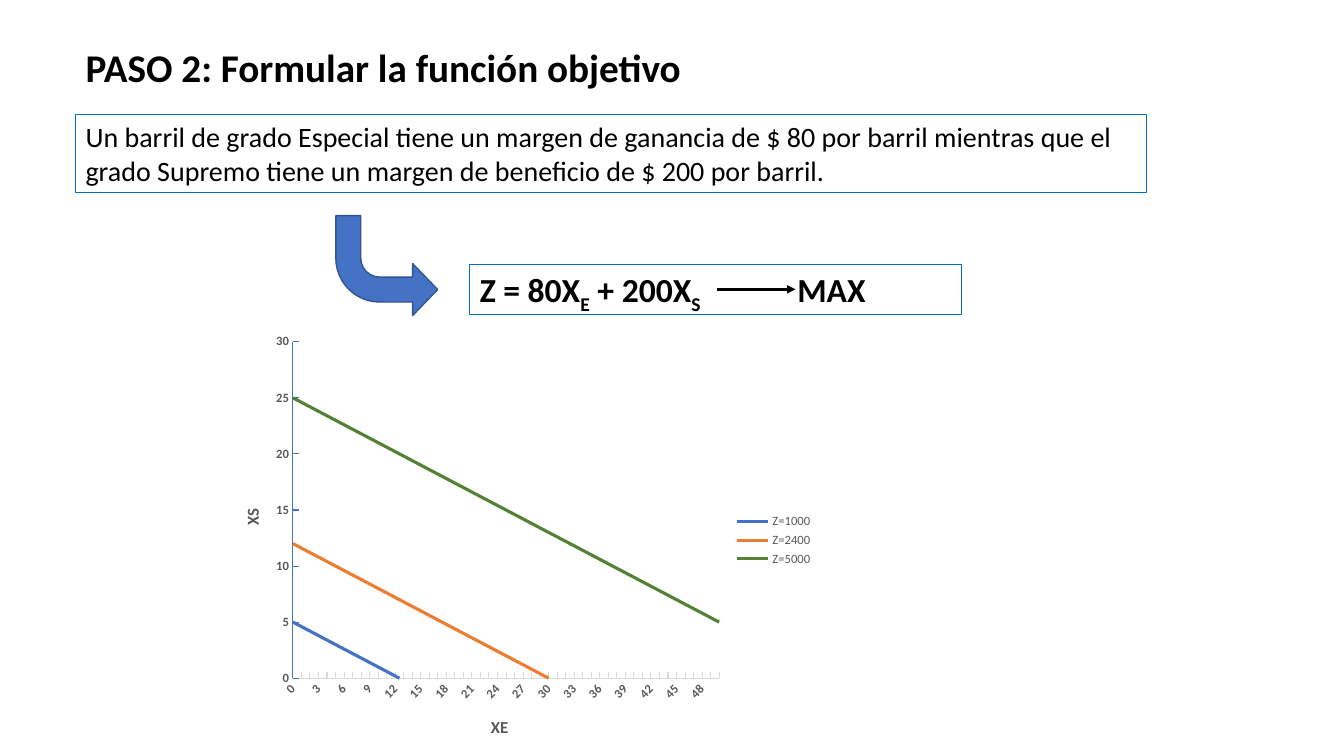
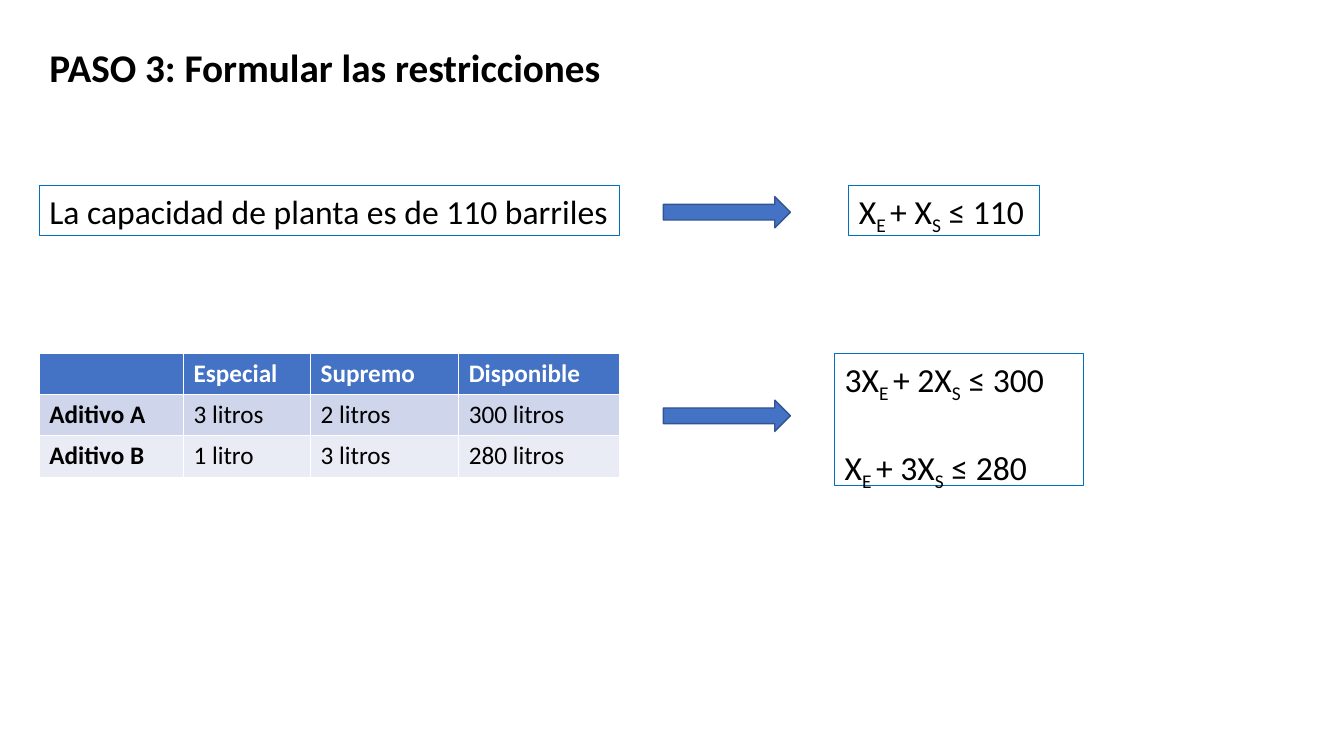
"""Build two slides on the objective function and the constraints of a linear programme."""
from dataclasses import dataclass

from lxml.etree import SubElement
from pptx import Presentation
from pptx.chart.data import CategoryChartData
from pptx.dml.color import RGBColor
from pptx.enum.chart import XL_CHART_TYPE as Chart, XL_LEGEND_POSITION as Legend, XL_TICK_MARK as Tick
from pptx.enum.shapes import MSO_CONNECTOR as Connector, MSO_SHAPE as Shape
from pptx.enum.text import MSO_ANCHOR as Anchor, PP_ALIGN as Align
from pptx.oxml.ns import qn
from pptx.util import Inches, Pt


@dataclass(frozen=True)
class Theme:
    font: str = "Calibri"
    black: RGBColor = RGBColor.from_string("000000")
    white: RGBColor = RGBColor.from_string("FFFFFF")
    grey: RGBColor = RGBColor.from_string("595959")
    pale: RGBColor = RGBColor.from_string("D9D9D9")
    blue: RGBColor = RGBColor.from_string("4472C4")
    edge: RGBColor = RGBColor.from_string("325491")
    frame: RGBColor = RGBColor.from_string("0070C0")
    orange: RGBColor = RGBColor.from_string("ED7D31")
    green: RGBColor = RGBColor.from_string("548235")
    band_dark: RGBColor = RGBColor.from_string("CFD5EA")
    band_light: RGBColor = RGBColor.from_string("E9EBF5")
    title: Pt = Pt(28)
    formula: Pt = Pt(24)
    body: Pt = Pt(20)
    cell: Pt = Pt(18)
    axis_title: Pt = Pt(12)
    tick: Pt = Pt(9)


theme = Theme()


def write(para, text, size, color=theme.black, bold=False):
    """Add text to a paragraph; every second part between bars is a subscript."""
    for index, part in enumerate(text.split("|")):
        span = para.add_run()
        span.text = part
        looks = {"name": theme.font, "size": size, "bold": bold}
        for name, value in looks.items():
            setattr(span.font, name, value)
        span.font.color.rgb = color
        if index % 2:
            span.font._element.set("baseline", "-25000")


def place(parent, index, **fractions):
    """Give a chart part a manual layout in fractions of the chart."""
    for old in parent.findall(qn("c:layout")):
        parent.remove(old)
    layout = SubElement(parent, qn("c:layout"))
    parent.insert(index, layout)
    manual = SubElement(layout, qn("c:manualLayout"))
    if "w" in fractions:
        SubElement(manual, qn("c:layoutTarget")).set("val", "inner")
    for name in ("x", "y"):
        SubElement(manual, qn(f"c:{name}Mode")).set("val", "edge")
    for name, value in fractions.items():
        SubElement(manual, qn(f"c:{name}")).set("val", str(value))


deck = Presentation()
deck.slide_width, deck.slide_height = Inches(13.33), Inches(7.5)

slides = [
    {
        "title": ("PASO 2: Formular la función objetivo", 0.75, 6.46),
        "boxes": [
            ((0.75, 1.14, 10.62, 0.77), theme.body, False, [
                "Un barril de grado Especial tiene un margen de ganancia de $ 80 por barril mientras que el",
                "grado Supremo tiene un margen de beneficio de $ 200 por barril.",
            ]),
            ((4.66, 2.62, 4.88, 0.5), theme.formula, True, ["Z = 80X|E| + 200X|S|\tMAX"]),
        ],
        "arrows": [(Shape.BENT_ARROW, (3.33, 2.14, 1.01, 0.99))],
    },
    {
        "title": ("PASO 3: Formular las restricciones", 0.39, 5.95),
        "boxes": [
            ((0.39, 1.84, 5.75, 0.5), theme.formula, False, ["La capacidad de planta es de 110 barriles"]),
            ((8.42, 1.84, 1.89, 0.5), theme.formula, False, ["X|E |+ X|S| ≤ 110"]),
            ((8.28, 3.51, 2.47, 1.31), theme.formula, False, ["3X|E |+ 2X|S| ≤ 300", "X|E |+ 3X|S| ≤ 280"]),
        ],
        "arrows": [(Shape.RIGHT_ARROW, (6.58, top, 1.26, 0.31)) for top in (1.95, 3.97)],
    },
]

pages = []
for content in slides:
    page = deck.slides.add_slide(deck.slide_layouts[5])
    pages.append(page)
    text, left, width = content["title"]
    title = page.shapes.title
    spot = {"left": left, "top": 0.38, "width": width, "height": 0.57}
    for name, value in spot.items():
        setattr(title, name, Inches(value))
    title.text_frame.vertical_anchor = Anchor.MIDDLE
    para = title.text_frame.paragraphs[0]
    para.alignment = Align.LEFT
    write(para, text, theme.title, bold=True)

    for bounds, size, bold, lines in content["boxes"]:
        box = page.shapes.add_textbox(*map(Inches, bounds))
        box.line.color.rgb = theme.frame
        box.line.width = Pt(0.75)
        frame = box.text_frame
        frame.word_wrap = True
        frame.margin_right = 0
        for index, line in enumerate(lines):
            para = frame.add_paragraph() if index else frame.paragraphs[0]
            if index and size == theme.formula:
                para.space_before = Pt(30)
            if "\t" in line:
                tabs = SubElement(para._p.get_or_add_pPr(), qn("a:tabLst"))
                stop = SubElement(tabs, qn("a:tab"))
                stop.set("pos", str(Inches(3.15)))
                stop.set("algn", "l")
            write(para, line, size, bold=bold)

    for kind, bounds in content["arrows"]:
        arrow = page.shapes.add_shape(kind, *map(Inches, bounds))
        arrow.shadow.inherit = False
        arrow.fill.solid()
        arrow.fill.fore_color.rgb = theme.blue
        arrow.line.color.rgb = theme.edge
        arrow.line.width = Pt(1)
        if kind == Shape.BENT_ARROW:
            arrow.rotation = 180
            arrow._element.spPr.xfrm.set("flipH", "1")
            for index, value in enumerate((0.25, 0.26, 0.25, 0.44)):
                arrow.adjustments[index] = value

objective, constraints = pages

pointer = objective.shapes.add_connector(Connector.STRAIGHT, *map(Inches, (7.11, 2.87, 7.89, 2.87)))
pointer.line.color.rgb = theme.black
pointer.line.width = Pt(2)
SubElement(pointer.line._get_or_add_ln(), qn("a:tailEnd")).set("type", "triangle")
SubElement(pointer._element.spPr, qn("a:effectLst"))

profits = [("Z=1000", 5, theme.blue), ("Z=2400", 12, theme.orange), ("Z=5000", 25, theme.green)]
data = CategoryChartData()
data.categories = [str(step) for step in range(51)]
for name, start, color in profits:
    data.add_series(name, [round(start - 0.4 * step, 1) for step in range(51)])
chart = objective.shapes.add_chart(Chart.LINE, *map(Inches, (2.12, 3.22, 6.04, 4.28)), data).chart
chart.has_title = False
chart.font.name = theme.font
chart.font.size = theme.tick
chart.font.color.rgb = theme.grey
chart.has_legend = True
chart.legend.position = Legend.RIGHT
chart.legend.include_in_layout = False
chart.plots[0].vary_by_categories = False
for series, (name, start, color) in zip(chart.plots[0].series, profits):
    series.smooth = False
    series.format.line.color.rgb = color
    series.format.line.width = Pt(2.25)

across, up = chart.category_axis, chart.value_axis
axes = [
    (across, "XE", theme.pale, -45, 0, {"x": 0.45, "y": 0.9}),
    (up, "XS", theme.blue, 0, -90, {"x": 0.04, "y": 0.42}),
]
for axis, name, color, label_turn, title_turn, spot in axes:
    axis.has_major_gridlines = False
    axis.major_tick_mark = Tick.INSIDE
    axis.format.line.color.rgb = color
    axis.format.line.width = Pt(0.75)
    looks = {"name": theme.font, "size": theme.tick, "bold": True}
    for key, value in looks.items():
        setattr(axis.tick_labels.font, key, value)
    axis.tick_labels.font.color.rgb = theme.grey
    axis._element.find(qn("c:txPr")).find(qn("a:bodyPr")).set("rot", str(label_turn * 60000))
    heading = axis.axis_title
    write(heading.text_frame.paragraphs[0], name, theme.axis_title, theme.grey, True)
    heading.text_frame._txBody.bodyPr.set("rot", str(title_turn * 60000))
    place(heading._element, 1, **spot)

crossing = up._element.find(qn("c:crossBetween"))
if crossing is None:
    crossing = SubElement(up._element, qn("c:crossBetween"))
    up._element.find(qn("c:crosses")).addnext(crossing)
crossing.set("val", "midCat")
scale = {"minimum_scale": 0, "maximum_scale": 30, "major_unit": 5}
for name, value in scale.items():
    setattr(up, name, value)
skip = SubElement(across._element, qn("c:tickLblSkip"))
skip.set("val", "3")
across._element.find(qn("c:lblOffset")).addnext(skip)
place(chart._chartSpace.chart.plotArea, 0, x=0.13, y=0.04, w=0.7, h=0.78)

rows = [
    ("", "Especial", "Supremo", "Disponible"),
    ("Aditivo A", "3 litros", "2 litros", "300 litros"),
    ("Aditivo B", "1 litro", "3 litros", "280 litros"),
]
fills = [theme.blue, theme.band_dark, theme.band_light]
table = constraints.shapes.add_table(3, 4, *map(Inches, (0.39, 3.51, 5.75, 1.22))).table
for column, width in zip(table.columns, (1.43, 1.26, 1.47, 1.6)):
    column.width = Inches(width)
for row, height in zip(table.rows, (0.38, 0.41, 0.42)):
    row.height = Inches(height)
for row_index, texts in enumerate(rows):
    for column_index, text in enumerate(texts):
        cell = table.cell(row_index, column_index)
        cell.fill.solid()
        cell.fill.fore_color.rgb = fills[row_index]
        color = theme.black if row_index else theme.white
        bold = row_index == 0 or column_index == 0
        if text:
            write(cell.text_frame.paragraphs[0], text, theme.cell, color, bold)

deck.save("out.pptx")
